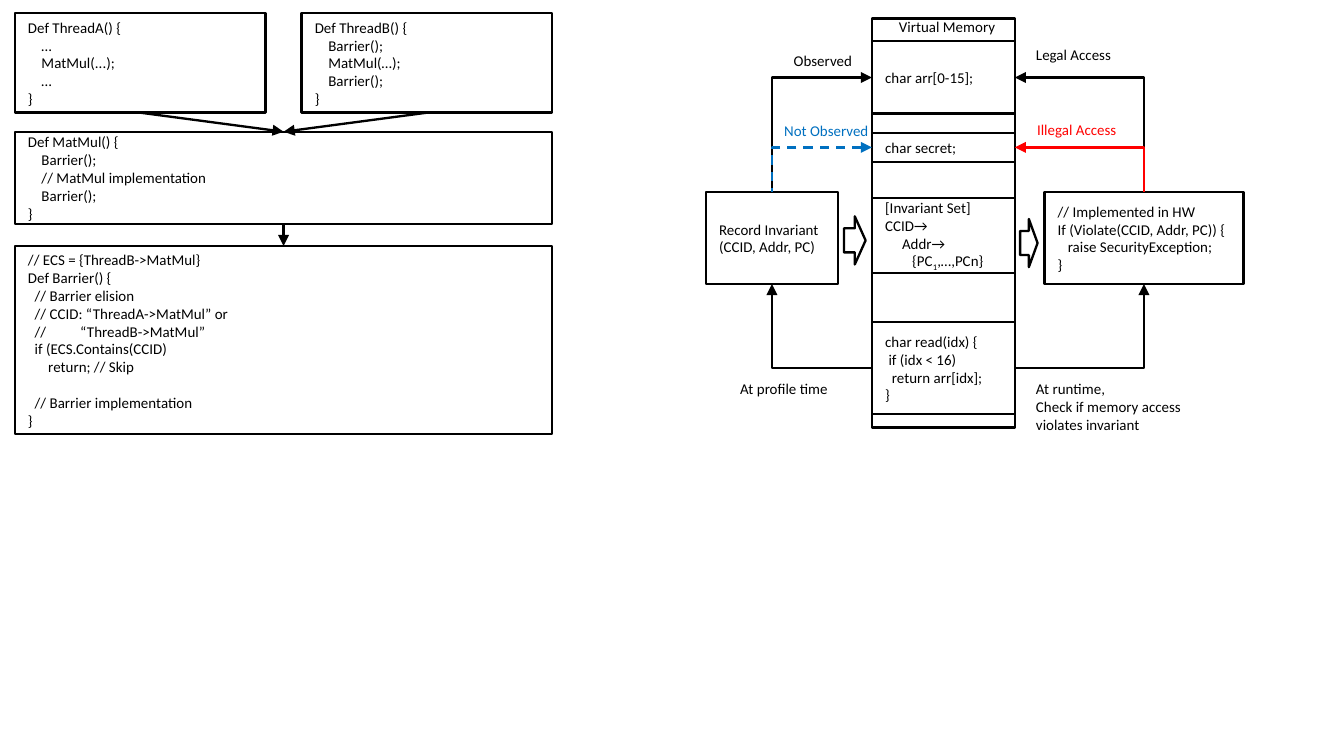
import dataclasses
import typing

import pptx
import pptx.dml.color
import pptx.enum.dml
import pptx.enum.shapes
import pptx.enum.text
import pptx.oxml.ns
import pptx.util
from pptx.util import Cm
from lxml import etree

COLORS = {"black": "000000", "blue": "0070C0", "red": "FF0000"}
FONT = "Calibri"
LINE_HEIGHT = 9.77
RECTANGLE = pptx.enum.shapes.MSO_SHAPE.RECTANGLE
RIGHT_ARROW = pptx.enum.shapes.MSO_SHAPE.RIGHT_ARROW
TOP, BOTTOM = 0, 2


@dataclasses.dataclass(frozen=True)
class Block:
    left: float
    top: float
    width: float
    height: float
    text: str = ""
    color: str = "black"
    wrap: bool = True

    @property
    def right(self) -> float:
        return self.left + self.width

    @property
    def bottom(self) -> float:
        return self.top + self.height

    @property
    def center(self) -> float:
        return self.left + self.width / 2

    @property
    def middle(self) -> float:
        return self.top + self.height / 2

    def frame(self) -> tuple:
        return Cm(self.left), Cm(self.top), Cm(self.width), Cm(self.height)


class Bend(typing.NamedTuple):
    start: tuple
    end: tuple
    arrow: str
    color: str = "black"
    dashed: bool = False


def rgb(name: str) -> pptx.dml.color.RGBColor:
    return pptx.dml.color.RGBColor.from_string(COLORS[name])


def write(frame, text: str, *, color: str = "black", size: float = 8, wrap: bool = True) -> None:
    frame.word_wrap = wrap
    para = frame.paragraphs[0]
    after_blank = False
    for number, line in enumerate(text.split("\n")):
        if not line:
            after_blank = True
            continue
        if number:
            para = frame.add_paragraph()
        para.alignment = pptx.enum.text.PP_ALIGN.LEFT
        if after_blank:
            para.space_before = pptx.util.Pt(LINE_HEIGHT)
            after_blank = False
        for index, part in enumerate(line.split("|")):
            span = para.add_run()
            span.text = part
            span.font.name = FONT
            span.font.size = pptx.util.Pt(size)
            span.font.color.rgb = rgb(color)
            if index % 2:
                span.font._element.set("baseline", "-25000")


def draw_box(page, block: Block, kind=RECTANGLE):
    box = page.shapes.add_shape(kind, *block.frame())
    box.shadow.inherit = False
    box.fill.background()
    box.line.color.rgb = rgb(block.color)
    box.line.width = pptx.util.Pt(1.25)
    if block.text:
        box.text_frame.vertical_anchor = pptx.enum.text.MSO_ANCHOR.MIDDLE
        write(box.text_frame, block.text, color=block.color)
    return box


def draw_label(page, block: Block) -> None:
    label = page.shapes.add_textbox(*block.frame())
    write(label.text_frame, block.text, color=block.color, wrap=block.wrap)
    label.text_frame.auto_size = pptx.enum.text.MSO_AUTO_SIZE.SHAPE_TO_FIT_TEXT


def style_connector(connector, arrow: str, color: str = "black", dashed: bool = False) -> None:
    connector.line.color.rgb = rgb(color)
    connector.line.width = pptx.util.Pt(1.25)
    if dashed:
        connector.line.dash_style = pptx.enum.dml.MSO_LINE.DASH
    outline = connector.line._get_or_add_ln()
    etree.SubElement(outline, pptx.oxml.ns.qn(f"a:{arrow}"), type="triangle")
    etree.SubElement(connector._element.spPr, pptx.oxml.ns.qn("a:effectLst"))


def draw_straight(page, source, target) -> None:
    connector = page.shapes.add_connector(pptx.enum.shapes.MSO_CONNECTOR.STRAIGHT, 0, 0, 0, 0)
    connector.begin_connect(source, BOTTOM)
    connector.end_connect(target, TOP)
    style_connector(connector, "tailEnd")


def draw_bend(page, bend: Bend) -> None:
    points = [Cm(value) for value in (*bend.start, *bend.end)]
    connector = page.shapes.add_connector(pptx.enum.shapes.MSO_CONNECTOR.ELBOW, *points)
    geometry = connector._element.spPr.find(pptx.oxml.ns.qn("a:prstGeom"))
    geometry.set("prst", "bentConnector2")
    style_connector(connector, bend.arrow, bend.color, bend.dashed)


THREAD_A = Block(0.28, 0.25, 4.74, 1.88, "Def ThreadA() {\n    …\n    MatMul(...);\n    …\n}")
THREAD_B = Block(5.7, 0.25, 4.74, 1.88,
                 "Def ThreadB() {\n    Barrier();\n    MatMul(…);\n    Barrier();\n}")
MATMUL = Block(0.28, 2.49, 10.16, 1.74,
               "Def MatMul() {\n    Barrier();\n    // MatMul implementation\n    Barrier();\n}")
BARRIER = Block(0.28, 4.65, 10.16, 3.56, """// ECS = {ThreadB->MatMul}
Def Barrier() {
  // Barrier elision
  // CCID: “ThreadA->MatMul” or
  //          “ThreadB->MatMul”
  if (ECS.Contains(CCID)
      return; // Skip

  // Barrier implementation
}""")

MEMORY = Block(16.48, 0.35, 2.7, 7.73)


def memory_cell(top: float, height: float, text: str) -> Block:
    return Block(MEMORY.left, top, MEMORY.width, height, text)


ARRAY = memory_cell(0.78, 1.37, "char arr[0-15];")
SECRET = memory_cell(2.51, 0.55, "char secret;")
INVARIANTS = memory_cell(3.74, 1.42,
                         "[Invariant Set]\nCCID→\n     Addr→\n        {PC|1|,…,PCn}")
READ = memory_cell(6.09, 1.74, "char read(idx) {\n if (idx < 16)\n  return arr[idx];\n}")
RECORD = Block(13.34, 3.63, 2.5, 1.74, "Record Invariant (CCID, Addr, PC)")
CHECK = Block(19.74, 3.63, 3.76, 1.74,
              "// Implemented in HW\nIf (Violate(CCID, Addr, PC)) {\n"
              "   raise SecurityException;\n}")

BLOCK_ARROWS = [Block(15.95, 4.09, 0.41, 0.91), Block(19.28, 4.14, 0.33, 0.91)]

BENDS = [
    Bend((MEMORY.left, READ.middle), (RECORD.center, RECORD.bottom), "tailEnd"),
    Bend((MEMORY.right, READ.middle), (CHECK.center, CHECK.bottom), "tailEnd"),
    Bend((MEMORY.left, ARRAY.middle), (RECORD.center, RECORD.top), "headEnd"),
    Bend((MEMORY.right, ARRAY.middle), (CHECK.center, CHECK.top), "headEnd"),
    Bend((MEMORY.left, SECRET.middle), (RECORD.center, RECORD.top), "headEnd", "blue", True),
    Bend((MEMORY.right, SECRET.middle), (CHECK.center, CHECK.top), "headEnd", "red"),
]

LABELS = [
    Block(14.75, 0.86, 1.78, 0.6, "Observed"),
    Block(14.57, 2.18, 2.49, 0.6, "Not Observed", "blue"),
    Block(19.33, 0.74, 2.29, 0.6, "Legal Access"),
    Block(19.35, 2.16, 2.46, 0.6, "Illegal Access", "red"),
    Block(13.74, 7.06, 3, 0.36, "At profile time"),
    Block(19.33, 7.06, 3.3, 0.76,
          "At runtime,\nCheck if memory access\nviolates invariant", wrap=False),
    Block(16.74, 0.2, 2.62, 0.6, "Virtual Memory"),
]


def main() -> None:
    deck = pptx.Presentation()
    deck.slide_width, deck.slide_height = Cm(25.4), Cm(14.29)
    page = deck.slides.add_slide(deck.slide_layouts[6])

    thread_a, thread_b, matmul, barrier = [
        draw_box(page, block) for block in (THREAD_A, THREAD_B, MATMUL, BARRIER)]
    for source, target in ((thread_a, matmul), (thread_b, matmul), (matmul, barrier)):
        draw_straight(page, source, target)

    for block in (MEMORY, ARRAY, SECRET, INVARIANTS, READ, RECORD, CHECK):
        draw_box(page, block)
    for block in BLOCK_ARROWS:
        draw_box(page, block, RIGHT_ARROW)
    for bend in BENDS:
        draw_bend(page, bend)
    for label in LABELS:
        draw_label(page, label)
    deck.save("out.pptx")


if __name__ == "__main__":
    main()
